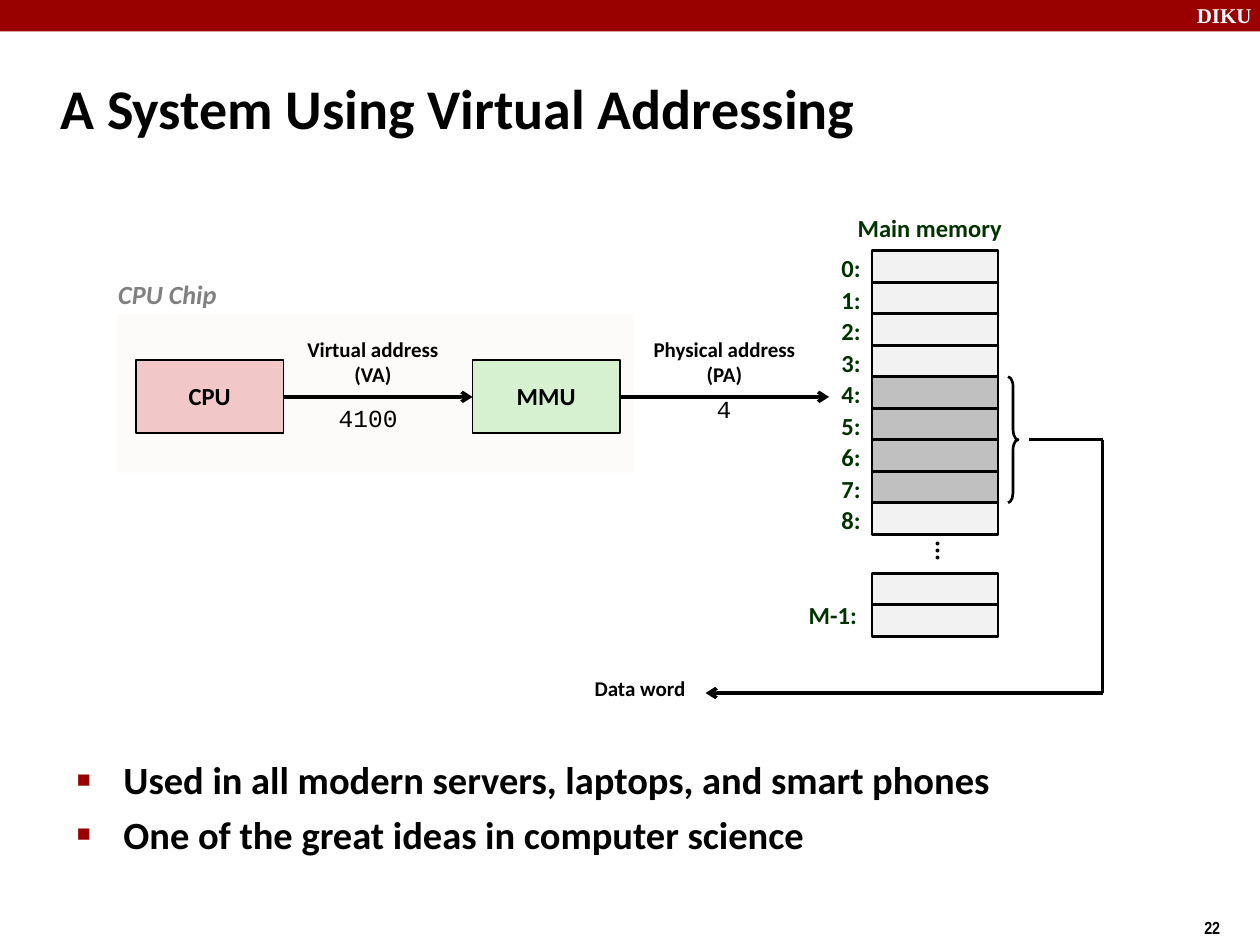
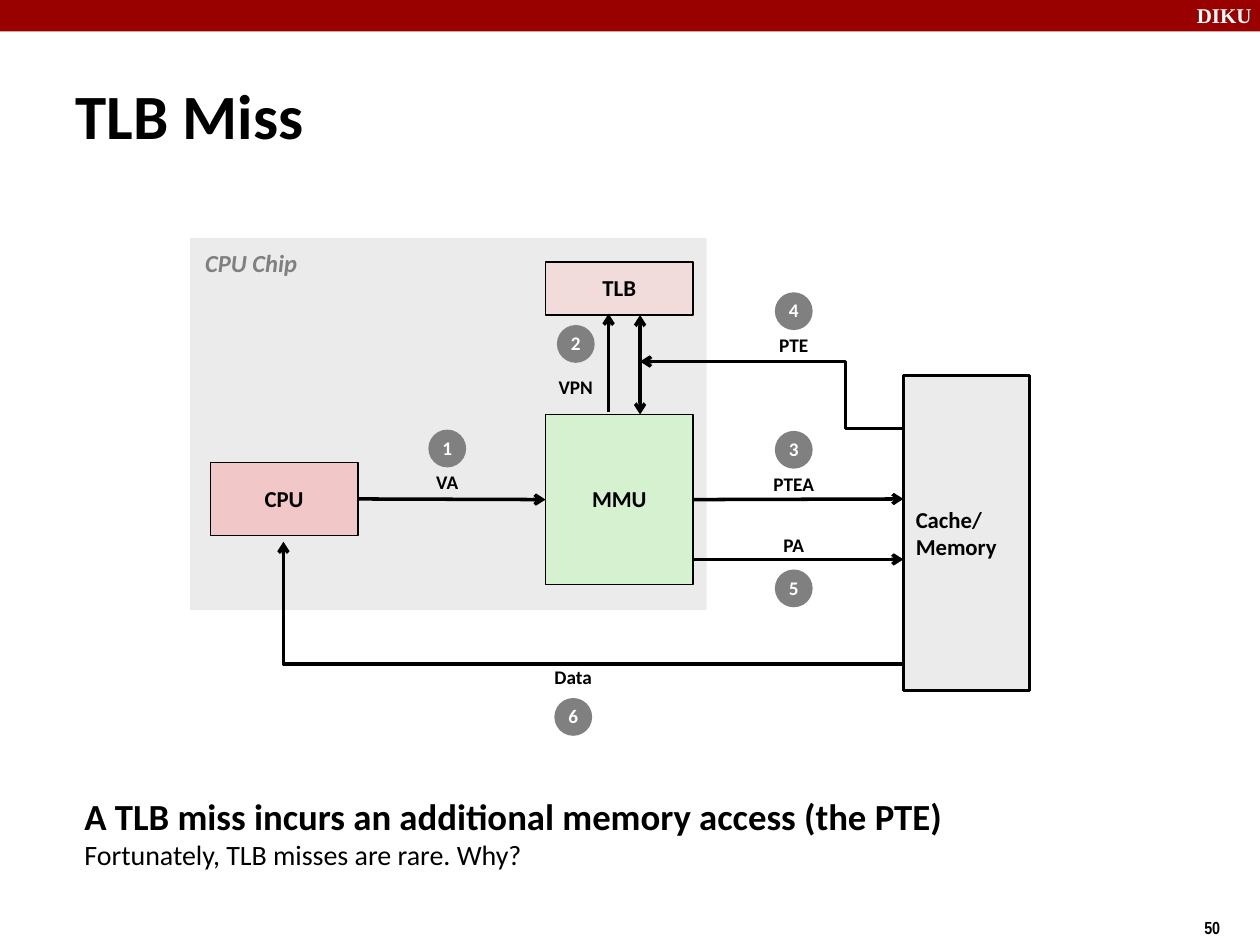
import pptx
import pptx.util
import pptx.dml.color
import pptx.enum.text
import pptx.enum.shapes
import pptx.oxml.ns
from lxml import etree

Inches, Pt = pptx.util.Inches, pptx.util.Pt
RGB = pptx.dml.color.RGBColor
Align = pptx.enum.text.PP_ALIGN
Anchor = pptx.enum.text.MSO_ANCHOR
Shape = pptx.enum.shapes.MSO_SHAPE
Joint = pptx.enum.shapes.MSO_CONNECTOR
qn = pptx.oxml.ns.qn

# Colours and fonts
RED = RGB(0x99, 0x00, 0x00)
BLACK = RGB(0x00, 0x00, 0x00)
WHITE = RGB(0xFF, 0xFF, 0xFF)
GREY = RGB(0x80, 0x80, 0x80)
GREEN = RGB(0x00, 0x33, 0x00)
PINK = RGB(0xF1, 0xC7, 0xC7)
ROSE = RGB(0xF2, 0xDC, 0xDB)
MINT = RGB(0xD5, 0xF1, 0xCF)
CREAM = RGB(0xFC, 0xFB, 0xF9)
SILVER = RGB(0xEB, 0xEB, 0xEB)
PALE = RGB(0xF2, 0xF2, 0xF2)
DARK = RGB(0xC0, 0xC0, 0xC0)
SANS, MONO, SERIF, SLIM = "Calibri", "Courier New", "Times New Roman", "Arial Narrow"

# Slide size, and the size of the blocks in both diagrams
WIDE, HIGH = 10, 7.5
BLOCK_W, BLOCK_H = 1.17, 0.58
CHIP_W = 4.1

# Content: virtual addressing
IDEAS = ["Used in all modern servers, laptops, and smart phones",
         "One of the great ideas in computer science"]
CELLS, WORD = 9, range(4, 8)          # cells shown, cells of the data word
MEM_X, MEM_Y, CELL_W, CELL_H = 6.92, 1.99, 1, 0.25
LAST_Y = 4.55                         # top of the last two cells
CAPTIONS = [                          # lines, middle x, middle y
    (["Virtual address", "(VA)"], 2.96, 2.88),
    (["Physical address", "(PA)"], 5.75, 2.88),
    (["Data word"], 5.08, 5.47),
]
VALUES = [("4100", 2.59, 3.15, 0.73), ("4", 5.59, 3.08, 0.33)]

# Content: TLB miss
STEPS = [                             # number, label, middle x, label y, badge y
    ("1", "VA", 3.55, 3.83, 3.56),
    ("2", "VPN", 4.57, 3.08, 2.73),
    ("3", "PTEA", 6.3, 3.85, 3.57),
    ("4", "PTE", 6.3, 2.74, 2.47),
    ("5", "PA", 6.3, 4.33, 4.67),
    ("6", "Data", 4.55, 5.38, 5.69),
]
BADGE = 0.3
CLAIM = "A TLB miss incurs an additional memory access (the PTE)"
ASIDE = "Fortunately, TLB misses are rare. Why?"


def inch(*sizes):
    return [Inches(size) for size in sizes]


def style(run, size, color=BLACK, font=SANS, bold=True, italic=False):
    run.font.name, run.font.size = font, Pt(size)
    run.font.bold, run.font.italic = bold, italic
    run.font.color.rgb = color


def write(frame, lines, size, align=Align.LEFT, anchor=Anchor.MIDDLE,
          wrap=False, lead=None, **look):
    frame.word_wrap, frame.vertical_anchor = wrap, anchor
    for i, line in enumerate(lines):
        para = frame.add_paragraph() if i else frame.paragraphs[0]
        para.alignment = align
        if lead:
            para.line_spacing = lead
        run = para.add_run()
        run.text = line
        style(run, size, **look)


def label(slide, box, lines, size, **look):
    text = slide.shapes.add_textbox(*inch(*box))
    write(text.text_frame, lines, size, **look)
    return text


def center(slide, lines, x, y, size):
    """Black bold caption centred on a point."""
    w, h = 1.5, 0.33 * len(lines)
    label(slide, (x - w / 2, y - h / 2, w, h), lines, size,
          align=Align.CENTER, lead=0.98)


def draw(slide, box, fill=None, line=0, kind=Shape.RECTANGLE):
    shape = slide.shapes.add_shape(kind, *inch(*box))
    shape.shadow.inherit = False
    if fill is None:
        shape.fill.background()
    else:
        shape.fill.solid()
        shape.fill.fore_color.rgb = fill
    if line:
        shape.line.color.rgb, shape.line.width = BLACK, Pt(line)
    else:
        shape.line.fill.background()
    return shape


def block(slide, name, size, x, y, fill, h=BLOCK_H):
    shape = draw(slide, (x, y, BLOCK_W, h), fill, 1)
    write(shape.text_frame, [name], size, align=Align.CENTER, lead=0.98)
    return shape


def wire(slide, start, end, tips=("tail",), kind=Joint.STRAIGHT,
         source=None, goal=None):
    """Line or arrow; source leaves at its right side, goal is met at its left."""
    link = slide.shapes.add_connector(kind, *inch(*start, *end))
    if source is not None:
        link.begin_connect(source, 3)
    if goal is not None:
        link.end_connect(goal, 1)
    link.line.color.rgb, link.line.width = BLACK, Pt(2)
    pen = link.line._get_or_add_ln()
    for tip in tips:
        etree.SubElement(pen, qn(f"a:{tip}End"), type="arrow")
    etree.SubElement(link._element.spPr, qn("a:effectLst"))
    return link


def bend(slide, start, end, preset, turn=None):
    link = wire(slide, start, end, kind=Joint.ELBOW)
    geom = link._element.spPr.find(qn("a:prstGeom"))
    geom.set("prst", preset)
    if turn is not None:
        guides = geom.find(qn("a:avLst"))
        if guides is None:
            guides = etree.SubElement(geom, qn("a:avLst"))
        etree.SubElement(guides, qn("a:gd"), name="adj1",
                         fmla=f"val {round(turn * 100000)}")


def place(holder, box):
    holder.left, holder.top, holder.width, holder.height = inch(*box)
    holder.text_frame.auto_size = pptx.enum.text.MSO_AUTO_SIZE.NONE
    return holder.text_frame


def bullet(para, mark=None):
    props = para._p.get_or_add_pPr()
    props.set("marL", str(Inches(0.38) if mark else 0))
    props.set("indent", str(Inches(-0.37) if mark else 0))
    if mark:
        tint = etree.SubElement(props, qn("a:buClr"))
        etree.SubElement(tint, qn("a:srgbClr"), val=str(RED))
        etree.SubElement(props, qn("a:buSzPct"), val="60000")
        etree.SubElement(props, qn("a:buChar"), char=mark)
    else:
        etree.SubElement(props, qn("a:buNone"))


def start(deck, title, x, y, size, number):
    """New slide with band, title and page number."""
    slide = deck.slides.add_slide(deck.slide_layouts[1])
    draw(slide, (0, 0, WIDE, 0.25), RED)
    label(slide, (9.4, -0.03, 0.67, 0.3), ["DIKU"], 12, anchor=Anchor.TOP,
          wrap=True, color=WHITE, font=SERIF)
    label(slide, (9.46, 7.23, 0.33, 0.27), [number], 10, anchor=Anchor.TOP,
          font=SLIM)
    write(place(slide.shapes.title, (x, y, 9.53, 0.86)), [title], size, wrap=True)
    return slide


def chip(slide, box, x, y, size, fill):
    draw(slide, box, fill)
    label(slide, (x, y, 1.14, 0.4), ["CPU Chip"], size, anchor=Anchor.TOP,
          color=GREY, italic=True)


def address(deck):
    slide = start(deck, "A System Using Virtual Addressing", 0.38, 0.42, 32, "22")

    # Chip with its two blocks
    chip(slide, (0.93, 2.49, CHIP_W, 1.26), 0.84, 2.16, 15, CREAM)
    cpu = block(slide, "CPU", 14, 1.08, 2.86, PINK)
    mmu = block(slide, "MMU", 14, 3.75, 2.86, MINT)
    wire(slide, (2.25, 3.15), (3.75, 3.15), source=cpu, goal=mmu)
    wire(slide, (4.92, 3.15), (6.58, 3.15), source=mmu)
    for lines, x, y in CAPTIONS:
        center(slide, lines, x, y, 12)
    for value, x, y, w in VALUES:
        label(slide, (x, y, w, 0.36), [value], 14, anchor=Anchor.TOP,
              font=MONO, bold=False)

    # Main memory
    tag = dict(size=14, anchor=Anchor.TOP, lead=0.88, color=GREEN)
    label(slide, (6.63, 1.67, 1.5, 0.36), ["Main memory"], align=Align.CENTER, **tag)
    for i in range(CELLS):
        y = MEM_Y + i * CELL_H
        draw(slide, (MEM_X, y, CELL_W, CELL_H), DARK if i in WORD else PALE, 1.5)
        label(slide, (6.58, y, 0.37, 0.36), [f"{i}:"], **tag)
    for i in range(2):
        draw(slide, (MEM_X, LAST_Y + i * CELL_H, CELL_W, CELL_H), PALE, 1.5)
    label(slide, (6.32, 4.74, 0.63, 0.36), ["M-1:"], **tag)
    dots = label(slide, (7, 4.25, 1, 0.25), ["..."], 15, align=Align.CENTER, lead=0.98)
    dots.rotation = 90

    # Data word and its way back
    top, tall = MEM_Y + WORD[0] * CELL_H, len(WORD) * CELL_H
    brace = draw(slide, (8, top, 0.08, tall), None, 1.5, Shape.RIGHT_BRACE)
    brace.adjustments[0] = 1
    mid = top + tall / 2
    wire(slide, (8.17, mid), (8.75, mid), tips=())
    wire(slide, (8.75, mid), (8.75, 5.5), tips=())
    wire(slide, (8.75, 5.5), (5.6, 5.5))

    # Bullets
    frame = place(slide.placeholders[1], (0.5, 5.95, 9.08, 1.38))
    write(frame, IDEAS, 22, anchor=Anchor.TOP, wrap=True)
    for i, para in enumerate(frame.paragraphs):
        bullet(para, "■")
        para.space_before = Pt(4.8 if i else 0)


def miss(deck):
    slide = start(deck, "TLB Miss", 0.5, 0.48, 36, "50")

    # Blocks
    chip(slide, (1.51, 1.89, CHIP_W, 2.95), 1.53, 1.92, 14, SILVER)
    cpu = block(slide, "CPU", 13, 1.67, 3.67, PINK)
    mmu = block(slide, "MMU", 13, 4.33, 3.29, MINT, 1.35)
    block(slide, "TLB", 13, 4.33, 2.08, ROSE, 0.42)
    cache = draw(slide, (7.17, 2.98, 1, 2.5), SILVER, 1.5)
    write(cache.text_frame, ["Cache/", "Memory"], 13)

    # Arrows
    wire(slide, (2.84, 3.96), (4.33, 3.96), source=cpu, goal=mmu)
    wire(slide, (5.5, 3.96), (7.17, 3.96), source=mmu)
    wire(slide, (5.5, 4.44), (7.17, 4.44))
    wire(slide, (4.83, 3.27), (4.83, 2.49))
    wire(slide, (5.08, 2.5), (5.08, 3.29), tips=("head", "tail"))
    bend(slide, (7.17, 3.4), (5.08, 2.87), "bentConnector3", 0.22)
    bend(slide, (7.17, 5.27), (2.25, 4.3), "bentConnector2")

    # Numbered steps
    for number, name, x, low, high in STEPS:
        center(slide, [name], x, low, 11)
        badge = draw(slide, (x - BADGE / 2, high - BADGE / 2, BADGE, BADGE),
                     GREY, kind=Shape.OVAL)
        write(badge.text_frame, [number], 11, align=Align.CENTER, lead=0.98,
              color=WHITE)

    # Closing claim
    frame = place(slide.placeholders[1], (0.57, 6.25, 8.43, 1))
    write(frame, [CLAIM], 21, anchor=Anchor.TOP, wrap=True)
    para = frame.paragraphs[0]
    bullet(para)
    para.space_before = Pt(0)
    para.add_line_break()
    run = para.add_run()
    run.text = ASIDE
    style(run, 16, bold=False)


def main():
    deck = pptx.Presentation()
    deck.slide_width, deck.slide_height = inch(WIDE, HIGH)
    address(deck)
    miss(deck)
    deck.save("out.pptx")


if __name__ == "__main__":
    main()
